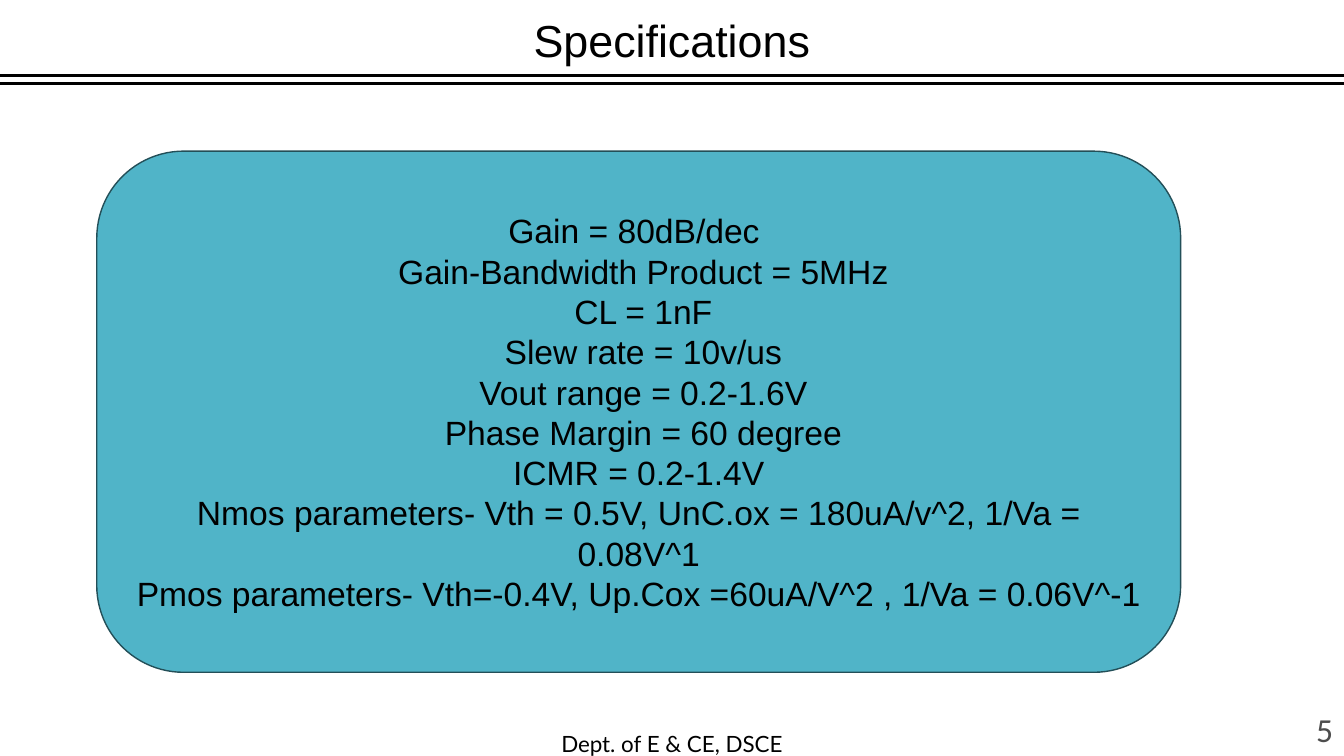
from dataclasses import dataclass

from lxml import etree
from pptx import Presentation
from pptx.dml.color import RGBColor
from pptx.enum.shapes import MSO_CONNECTOR, MSO_SHAPE
from pptx.enum.text import MSO_ANCHOR, PP_ALIGN
from pptx.oxml.ns import qn
from pptx.util import Inches, Pt

STRAIGHT = MSO_CONNECTOR.STRAIGHT
ROUNDED, RECTANGLE = MSO_SHAPE.ROUNDED_RECTANGLE, MSO_SHAPE.RECTANGLE
MIDDLE, BOTTOM = MSO_ANCHOR.MIDDLE, MSO_ANCHOR.BOTTOM
CENTER, RIGHT = PP_ALIGN.CENTER, PP_ALIGN.RIGHT


@dataclass(frozen=True)
class Theme:
    ink: RGBColor = RGBColor(0x00, 0x00, 0x00)
    muted: RGBColor = RGBColor(0x4D, 0x4D, 0x4D)
    paper: RGBColor = RGBColor(0xFF, 0xFF, 0xFF)
    panel: RGBColor = RGBColor(0x50, 0xB4, 0xC8)
    panel_edge: RGBColor = RGBColor(0x23, 0x4F, 0x58)
    heading_font: str = "Arial"
    footer_font: str = "Lato"
    number_font: str = "Calibri"
    heading_size: int = 32
    body_size: int = 24
    footer_size: int = 16
    body_leading: float = 28.8


THEME = Theme()
WIDTH, HEIGHT = 13.33, 7.5

SPECIFICATIONS = [
    "Gain = 80dB/dec ",
    " Gain-Bandwidth Product = 5MHz",
    " CL = 1nF",
    " Slew rate = 10v/us",
    " Vout range = 0.2-1.6V",
    " Phase Margin = 60 degree",
    "ICMR = 0.2-1.4V",
    "Nmos parameters- Vth = 0.5V, UnC.ox = 180uA/v^2, 1/Va = 0.08V^1",
    "Pmos parameters- Vth=-0.4V, Up.Cox =60uA/V^2 , 1/Va = 0.06V^-1",
]


def write(frame, lines, font, size, color=THEME.ink, align=CENTER, anchor=MIDDLE):
    frame.text = "\n".join(lines)
    frame.word_wrap = True
    frame.vertical_anchor = anchor
    for paragraph in frame.paragraphs:
        paragraph.alignment = align
        for run in paragraph.runs:
            run.font.name = font
            run.font.size = Pt(size)
            run.font.color.rgb = color


def add_header(slide, left, top, width, height):
    # Title
    title = slide.shapes.title
    title.left, title.top = Inches(left), Inches(top)
    title.width, title.height = Inches(width), Inches(height)
    title.fill.solid()
    title.fill.fore_color.rgb = THEME.paper
    write(title.text_frame, ["Specifications"], THEME.heading_font, THEME.heading_size)

    # Double rule around the lower edge
    for offset in (-0.04, 0.04):
        y = Inches(top + height + offset)
        rule = slide.shapes.add_connector(STRAIGHT, Inches(left), y, Inches(left + width), y)
        rule.line.color.rgb = THEME.ink
        rule.line.width = Pt(2)
        etree.SubElement(rule._element.spPr, qn("a:effectLst"))


def add_footer(slide, left, top, width, height):
    # Department, centred on the slide
    department_width, department_height = 5.5, 0.25
    department = slide.shapes.add_textbox(
        Inches(left + (width - department_width) / 2),
        Inches(top + height - department_height),
        Inches(department_width), Inches(department_height))
    frame = department.text_frame
    frame.margin_top = frame.margin_bottom = 0
    write(frame, ["Dept. of E & CE, DSCE"], THEME.footer_font, THEME.footer_size)

    # Page number at the right
    number_width = 0.64
    page_number = slide.shapes.add_shape(
        RECTANGLE, Inches(left + width - number_width - 0.01), Inches(top - 0.02),
        Inches(number_width), Inches(height))
    page_number.shadow.inherit = False
    page_number.fill.solid()
    page_number.fill.fore_color.rgb = THEME.paper
    page_number.line.fill.background()
    write(page_number.text_frame, ["5"], THEME.number_font, THEME.body_size,
          THEME.muted, RIGHT, BOTTOM)


def add_specifications(slide, left, top, width, height):
    panel = slide.shapes.add_shape(
        ROUNDED, Inches(left), Inches(top), Inches(width), Inches(height))
    panel.shadow.inherit = False
    panel.fill.solid()
    panel.fill.fore_color.rgb = THEME.panel
    panel.line.color.rgb = THEME.panel_edge
    panel.line.width = Pt(1)
    write(panel.text_frame, SPECIFICATIONS, THEME.heading_font, THEME.body_size)
    for paragraph in panel.text_frame.paragraphs:
        paragraph.line_spacing = Pt(THEME.body_leading)


def main():
    deck = Presentation()
    deck.slide_width, deck.slide_height = Inches(WIDTH), Inches(HEIGHT)
    slide = deck.slides.add_slide(deck.slide_layouts[5])
    add_header(slide, 0, 0, WIDTH, 0.79)
    add_footer(slide, 0, HEIGHT - 0.5, WIDTH, 0.5)
    add_specifications(slide, 0.96, 1.5, 10.75, 5.17)
    deck.save("out.pptx")


if __name__ == "__main__":
    main()
